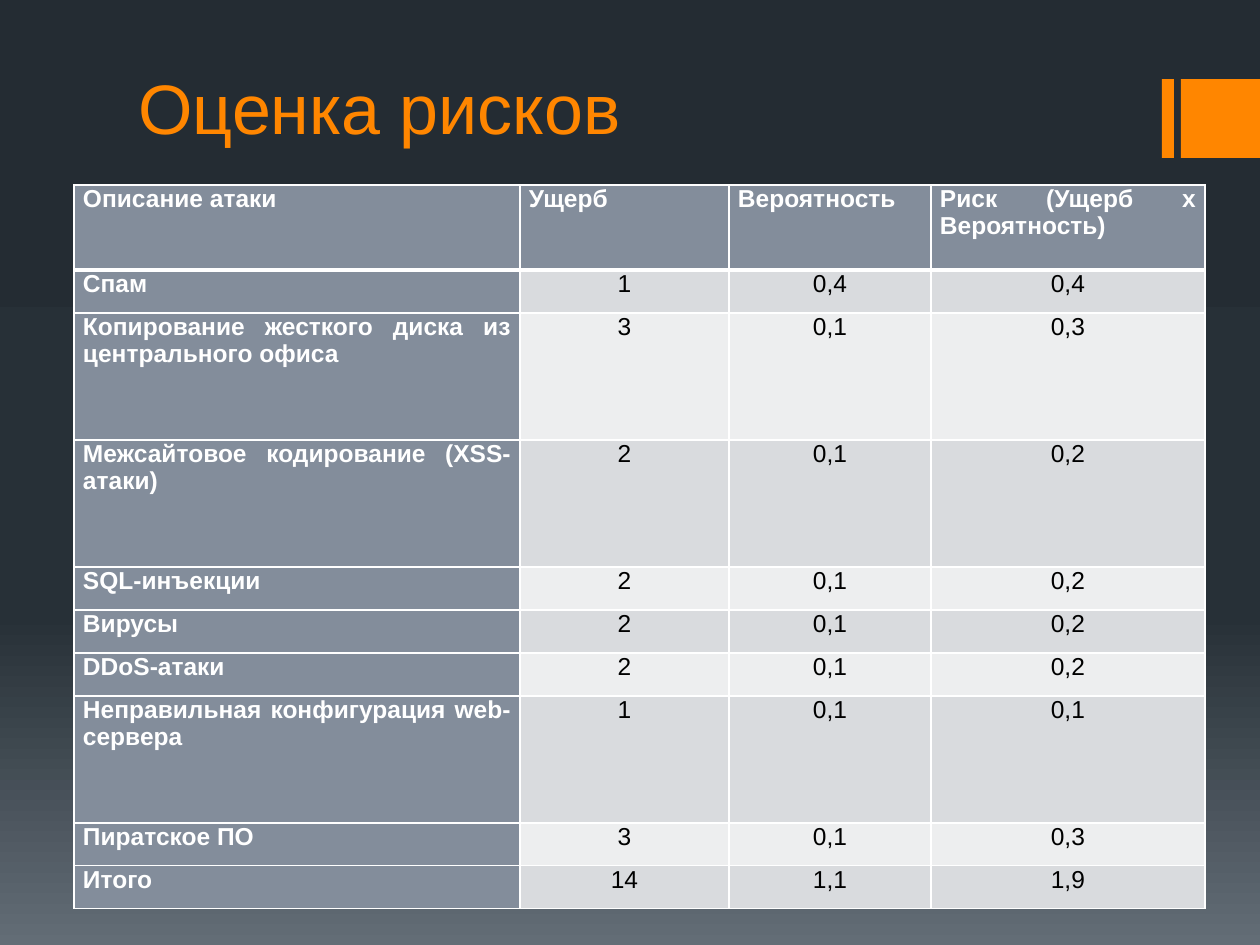
import pptx
import pptx.dml.color
import pptx.enum.shapes
import pptx.enum.text
import pptx.oxml
import pptx.oxml.ns
import pptx.util

TITLE = "Оценка рисков"
HEADER = ("Описание атаки", "Ущерб", "Вероятность", "Риск (Ущерб x Вероятность)")
RISKS = [
    ("Спам", "1", "0,4", "0,4"),
    ("Копирование жесткого диска из центрального офиса", "3", "0,1", "0,3"),
    ("Межсайтовое кодирование (XSS-атаки)", "2", "0,1", "0,2"),
    ("SQL-инъекции", "2", "0,1", "0,2"),
    ("Вирусы", "2", "0,1", "0,2"),
    ("DDoS-атаки", "2", "0,1", "0,2"),
    ("Неправильная конфигурация web-сервера", "1", "0,1", "0,1"),
    ("Пиратское ПО", "3", "0,1", "0,3"),
    ("Итого", "14", "1,1", "1,9"),
]
COLORS = {
    "accent": "FF8600", "head": "838D9B", "odd": "D9DBDE", "even": "EDEEEF",
    "light": "FFFFFF", "dark": "000000",
}
BACKGROUND = [(0, "242C33"), (65, "273037"), (100, "636D76")]
FONT = "Arial"
COLUMNS = (446, 209, 202, 274)
HEADER_HEIGHT, SHORT_ROW, TALL_ROW = 85, 43, 127
LONG_NAME = 30
TABLE_LEFT, TABLE_TOP = 74, 185
ACCENT_BARS = [(1162, 12), (1181, 79)]
ACCENT_TOP, ACCENT_HEIGHT = 79, 79
NS = pptx.oxml.ns.nsdecls("a")


def px(n):
    return pptx.util.Emu(round(n * 914400 / 126))


def rgb(name):
    return pptx.dml.color.RGBColor.from_string(COLORS[name])


def style_run(r, size, color, bold=False):
    r.font.name = FONT
    r.font.size = pptx.util.Pt(size)
    r.font.bold = bold
    r.font.color.rgb = rgb(color)


def set_borders(cell, widths):
    tcPr = cell._tc.get_or_add_tcPr()
    for i, (side, width) in enumerate(widths.items()):
        tcPr.insert(i, pptx.oxml.parse_xml(
            f'<a:ln{side} {NS} w="{pptx.util.Pt(width)}"><a:solidFill>'
            f'<a:srgbClr val="{COLORS["light"]}"/></a:solidFill></a:ln{side}>'))


prs = pptx.Presentation()
prs.slide_width, prs.slide_height = px(1260), px(945)
s = prs.slides.add_slide(prs.slide_layouts[6])

fill = s.background.fill
fill.gradient()
fill.gradient_angle = 270
stops = fill.gradient_stops[0]._gs.getparent()
for gs in list(stops):
    stops.remove(gs)
for pos, color in BACKGROUND:
    stops.append(pptx.oxml.parse_xml(
        f'<a:gs {NS} pos="{pos * 1000}"><a:srgbClr val="{color}"/></a:gs>'))

for left, width in ACCENT_BARS:
    sp = s.shapes.add_shape(pptx.enum.shapes.MSO_SHAPE.RECTANGLE,
                            px(left), px(ACCENT_TOP), px(width), px(ACCENT_HEIGHT))
    sp.shadow.inherit = False
    sp.fill.solid()
    sp.fill.fore_color.rgb = rgb("accent")
    sp.line.fill.background()

sp = s.shapes.add_textbox(px(126), px(-4), px(1008), px(159))
tf = sp.text_frame
tf.word_wrap = True
tf.vertical_anchor = pptx.enum.text.MSO_ANCHOR.BOTTOM
tf.text = TITLE
style_run(tf.paragraphs[0].runs[0], 40, "accent")

rows = [HEADER] + RISKS
heights = [HEADER_HEIGHT] + [TALL_ROW if len(row[0]) > LONG_NAME else SHORT_ROW
                             for row in RISKS]
table = s.shapes.add_table(len(rows), len(COLUMNS), px(TABLE_LEFT), px(TABLE_TOP),
                           px(sum(COLUMNS)), px(sum(heights))).table
for column, width in zip(table.columns, COLUMNS):
    column.width = px(width)
for i, (row, height) in enumerate(zip(rows, heights)):
    table.rows[i].height = px(height)
    for j, text in enumerate(row):
        heading = i == 0 or j == 0
        cell = table.cell(i, j)
        cell.margin_left = cell.margin_right = px(9)
        cell.margin_top = cell.margin_bottom = 0
        cell.fill.solid()
        cell.fill.fore_color.rgb = rgb("head" if heading else "odd" if i % 2 else "even")
        set_borders(cell, {"L": 1, "R": 1, "T": 3 if i == 1 else 1, "B": 3 if i == 0 else 1})
        cell.text_frame.text = text
        p = cell.text_frame.paragraphs[0]
        align = pptx.enum.text.PP_ALIGN
        p.alignment = align.JUSTIFY if heading else align.CENTER
        style_run(p.runs[0], 14, "light" if heading else "dark", heading)

prs.save("out.pptx")
